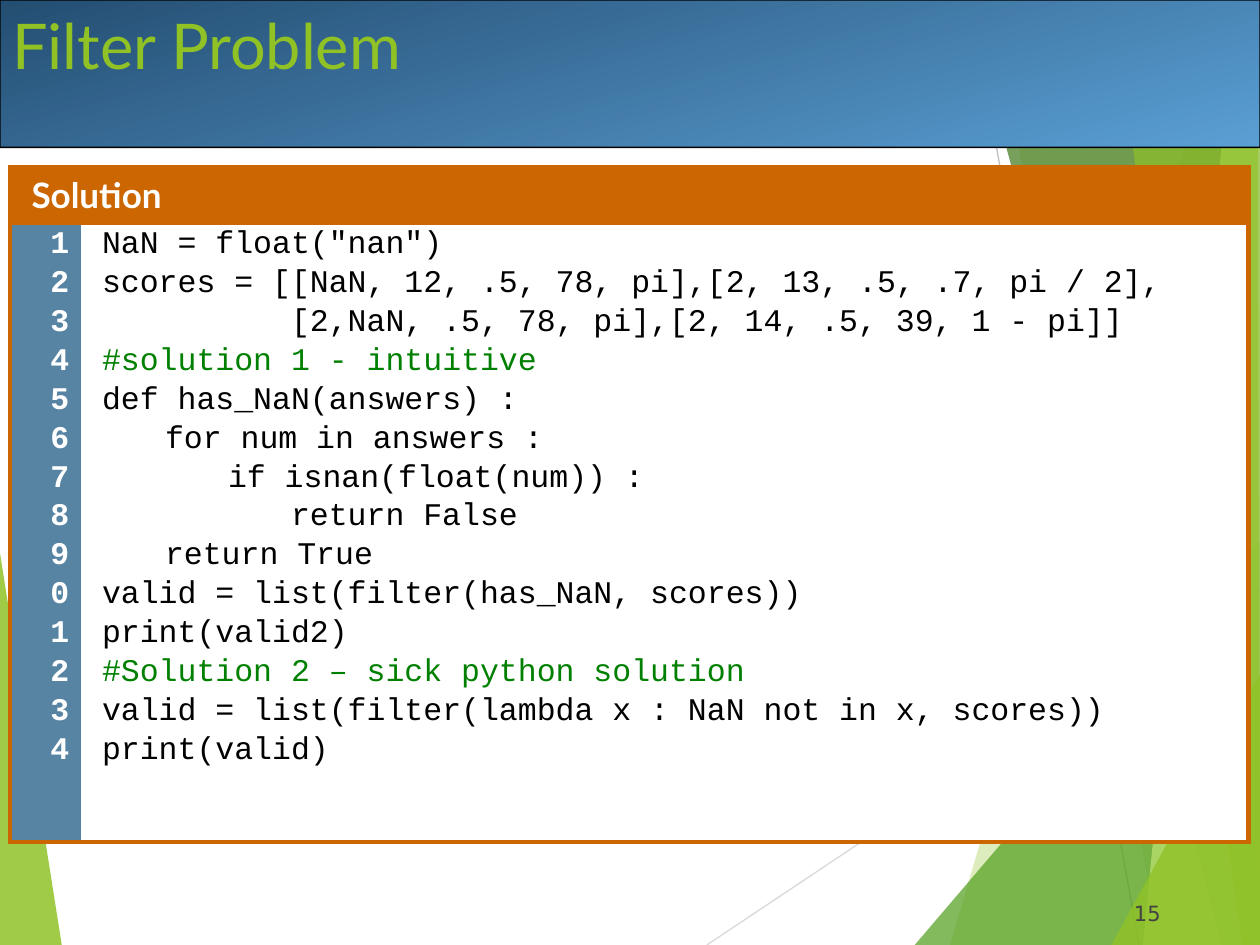
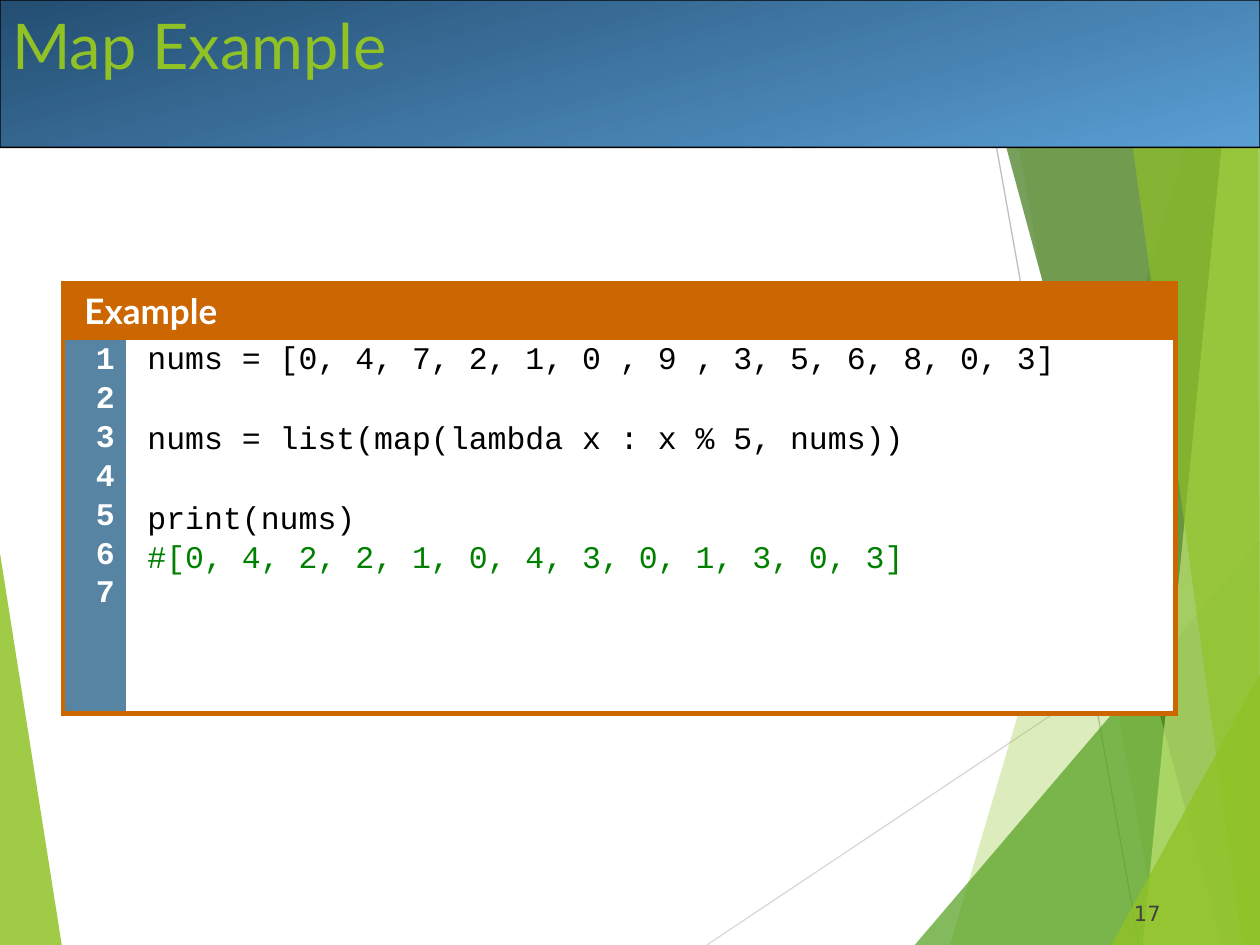
"""Builds two code slides on a shared faceted background."""
from lxml.etree import SubElement
from pptx import Presentation
from pptx.dml.color import RGBColor
from pptx.enum.shapes import MSO_CONNECTOR, MSO_SHAPE
from pptx.enum.text import MSO_ANCHOR, PP_ALIGN
from pptx.oxml.ns import qn
from pptx.util import Inches, Pt

COLORS = {
    "lime": "90C226", "green": "54A021", "forest": "3F7819", "pale": "C0E474",
    "band_dark": "244E72", "band_light": "5A9FD4", "black": "000000",
    "white": "FFFFFF", "orange": "CC6600", "steel": "5784A3",
    "comment": "008000", "number": "424242", "ray": "D9D9D9", "ray_dark": "BFBFBF",
}
HEADING_FONT, CODE_FONT, NUMBER_FONT = "Lato", "Courier New", "DejaVu Sans"
NO_TABLE_STYLE = "{2D5ABB26-0587-4C30-8999-92F81FD0307C}"
LINE_GAP, EMPTY_LINE = 4.5, 23.5

LEFT_FACET = ("lime", 85, [(0, 4.39), (0.49, 7.5), (0, 7.5)])
RAYS = [("ray", (5.61, 7.5), (10, 4.57)), ("ray_dark", (7.7, 0), (9.04, 7.5))]
RIGHT_FACETS = [
    ("lime", 30, [(9.75, 0), (7.54, 7.5), (10, 7.5), (10, 0)]),
    ("lime", 20, [(7.88, 0), (9.2, 7.5), (10, 7.5), (10, 0)]),
    ("green", 72, [(7.26, 7.5), (10, 4.29), (10, 7.5)]),
    ("forest", 70, [(7.67, 0), (9.7, 7.5), (10, 7.5), (10, 0)]),
    ("pale", 70, [(9.81, 0), (9.07, 7.5), (10, 7.5), (10, 0)]),
    ("lime", 65, [(8.83, 0), (9.86, 7.5), (10, 7.5), (9.98, 0)]),
    ("lime", 80, [(8.82, 7.5), (10, 5.35), (10, 7.5)]),
]

FILTER_CODE = """NaN = float("nan")
scores = [[NaN, 12, .5, 78, pi],[2, 13, .5, .7, pi / 2],
          [2,NaN, .5, 78, pi],[2, 14, .5, 39, 1 - pi]]
#solution 1 - intuitive
def has_NaN(answers) :
\tfor num in answers :
\t\tif isnan(float(num)) :
\t\t\treturn False
\treturn True
valid = list(filter(has_NaN, scores))
print(valid2)
#Solution 2 – sick python solution
valid = list(filter(lambda x : NaN not in x, scores))
print(valid)"""

MAP_CODE = """nums = [0, 4, 7, 2, 1, 0 , 9 , 3, 5, 6, 8, 0, 3]

nums = list(map(lambda x : x % 5, nums))

print(nums)
#[0, 4, 2, 2, 1, 0, 4, 3, 0, 1, 3, 0, 3]"""


def rgb(name):
    return RGBColor.from_string(COLORS[name])


class Deck:
    def __init__(self):
        self.presentation = Presentation()
        self.presentation.slide_width = Inches(10)
        self.presentation.slide_height = Inches(7.5)
        self.slide = None

    def start_slide(self, title, number):
        self.slide = self.presentation.slides.add_slide(self.presentation.slide_layouts[6])
        self.facet(*LEFT_FACET)
        for ray in RAYS:
            self.ray(*ray)
        for facet in RIGHT_FACETS:
            self.facet(*facet)
        self.band()
        self.text(str(number), (9, 6.95, 0.83, 0.4), NUMBER_FONT, 12, "number",
                  (0, 0), MSO_ANCHOR.BOTTOM)
        self.text(title, (0, 0, 9, 1.25), HEADING_FONT, 36, "lime", (0.1, 0.05))

    def facet(self, color, opacity, points):
        corners = [(Inches(x), Inches(y)) for x, y in points]
        builder = self.slide.shapes.build_freeform(*corners[0])
        builder.add_line_segments(corners[1:], close=True)
        shape = builder.convert_to_shape()
        shape.shadow.inherit = False
        shape.fill.solid()
        shape.fill.fore_color.rgb = rgb(color)
        shape.line.fill.background()
        color_element = shape._element.spPr.find(qn("a:solidFill"))[0]
        SubElement(color_element, qn("a:alpha"), val=str(opacity * 1000))

    def ray(self, color, start, end):
        connector = self.slide.shapes.add_connector(
            MSO_CONNECTOR.STRAIGHT, *[Inches(value) for value in start + end])
        connector.line.color.rgb = rgb(color)
        connector.line.width = Pt(0.75)
        SubElement(connector._element.spPr, qn("a:effectLst"))

    def band(self):
        shape = self.slide.shapes.add_shape(
            MSO_SHAPE.ROUNDED_RECTANGLE, 0, 0, Inches(10), Inches(1.17))
        shape.adjustments[0] = 0.001
        shape.shadow.inherit = False
        shape.fill.gradient()
        shape.fill.gradient_angle = 285
        for stop, color in zip(shape.fill.gradient_stops, ("band_dark", "band_light")):
            stop.color.rgb = rgb(color)
        shape.line.color.rgb = rgb("black")
        shape.line.width = Pt(0.75)

    def format_run(self, paragraph, font, size, color, bold=False):
        for run in paragraph.runs:
            run.font.name = font
            run.font.size = Pt(size)
            run.font.bold = bold
            run.font.color.rgb = rgb(color)

    def text(self, words, box, font, size, color, insets, anchor=MSO_ANCHOR.TOP):
        shape = self.slide.shapes.add_textbox(*[Inches(value) for value in box])
        frame = shape.text_frame
        frame.word_wrap = True
        frame.vertical_anchor = anchor
        frame.margin_left = frame.margin_right = Inches(insets[0])
        frame.margin_top = frame.margin_bottom = Inches(insets[1])
        frame.text = words
        self.format_run(frame.paragraphs[0], font, size, color)

    def cell(self, cell, fill, right_inset, sides):
        properties = cell._tc.get_or_add_tcPr()
        for side in "LRTB":
            if side in sides:
                border = SubElement(properties, qn(f"a:ln{side}"), w=str(Pt(3)))
                paint = SubElement(border, qn("a:solidFill"))
                SubElement(paint, qn("a:srgbClr"), val=COLORS["orange"])
            else:
                border = SubElement(properties, qn(f"a:ln{side}"), w="0")
                SubElement(border, qn("a:noFill"))
        cell.fill.solid()
        cell.fill.fore_color.rgb = rgb(fill)
        cell.margin_left = cell.margin_top = cell.margin_bottom = Inches(0.05)
        cell.margin_right = Inches(right_inset)

    def indent(self, paragraph):
        properties = paragraph._p.get_or_add_pPr()
        properties.set("marL", str(Inches(0.12)))
        properties.set("indent", "0")
        tabs = SubElement(properties, qn("a:tabLst"))
        for step in range(8):
            SubElement(tabs, qn("a:tab"), pos=str(Inches(step * 0.5)), algn="l")

    def lines(self, cell, lines, color, bold=False, alignment=PP_ALIGN.LEFT):
        frame = cell.text_frame
        space = 0
        for index, line in enumerate(lines):
            if not line:
                space += EMPTY_LINE
                continue
            paragraph = frame.add_paragraph() if index else frame.paragraphs[0]
            paragraph.text = line
            self.indent(paragraph)
            paragraph.alignment = alignment
            paragraph.line_spacing = 0.87
            paragraph.space_before = Pt(space)
            space = LINE_GAP
            self.format_run(paragraph, CODE_FONT, 18,
                            "comment" if line.startswith("#") else color, bold)

    def code_table(self, heading, code, line_count, left, top, columns, code_height):
        heights = (0.42, code_height)
        frame = self.slide.shapes.add_table(
            2, 2, Inches(left), Inches(top), Inches(sum(columns)), Inches(sum(heights)))
        table = frame.table
        table.first_row = table.horz_banding = False
        table._tbl.tblPr.find(qn("a:tableStyleId")).text = NO_TABLE_STYLE
        for column, width in zip(table.columns, columns):
            column.width = Inches(width)
        for row, height in zip(table.rows, heights):
            row.height = Inches(height)
        header, covered = table.rows[0].cells
        numbers, listing = table.rows[1].cells
        header.merge(covered)
        self.cell(header, "orange", 0.05, "LRTB")
        self.cell(covered, "orange", 0.05, "LRTB")
        self.cell(numbers, "steel", 0.09, "LTB")
        self.cell(listing, "white", 0.18, "RTB")
        header.text_frame.text = heading
        title = header.text_frame.paragraphs[0]
        self.indent(title)
        self.format_run(title, HEADING_FONT, 20, "white", True)
        digits = [str(number % 10) for number in range(1, line_count + 1)]
        self.lines(numbers, digits, "white", True, PP_ALIGN.RIGHT)
        self.lines(listing, code.split("\n"), "black")


def main():
    deck = Deck()
    deck.start_slide("Filter Problem", 15)
    deck.code_table("Solution", FILTER_CODE, 14, 0.08, 1.33, (0.56, 9.27), 4.92)
    deck.start_slide("Map Example", 17)
    deck.code_table("Example", MAP_CODE, 7, 0.5, 2.25, (0.5, 8.33), 2.98)
    deck.presentation.save("out.pptx")


if __name__ == "__main__":
    main()
